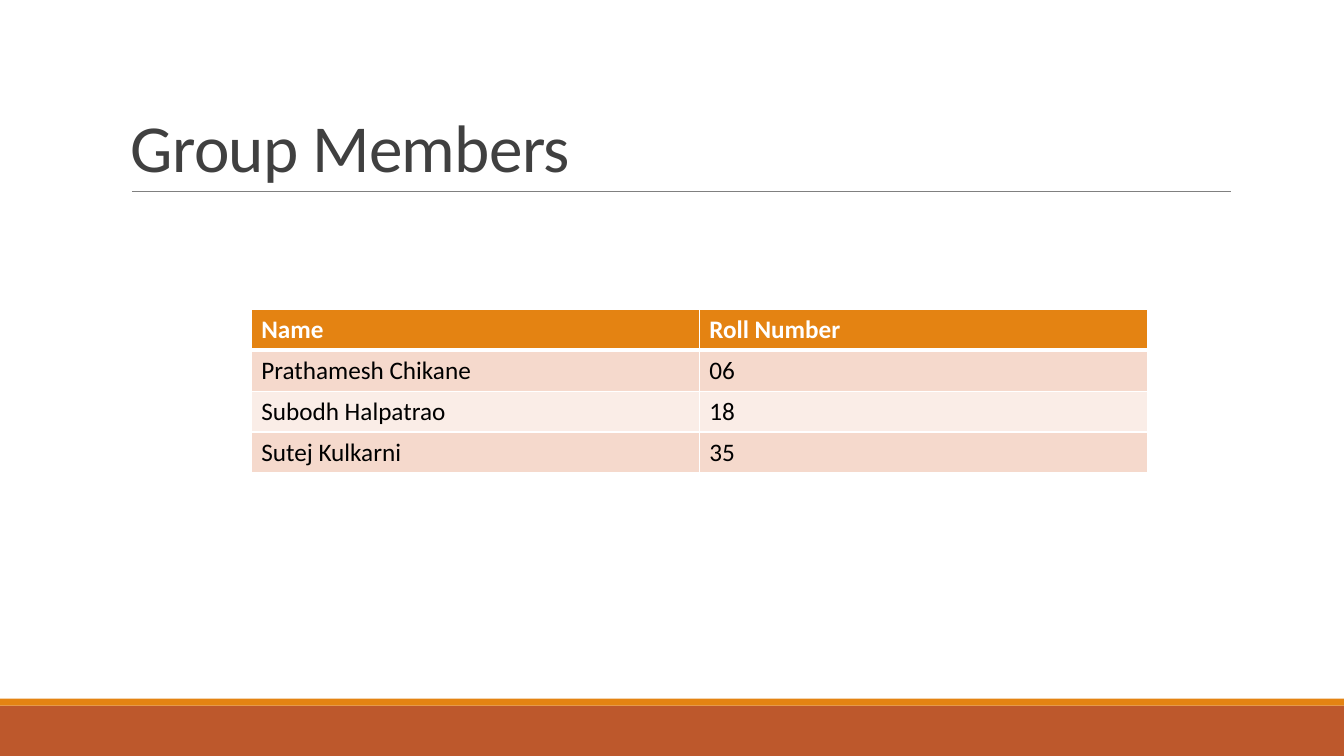
from dataclasses import dataclass

from lxml.etree import SubElement
from pptx import Presentation
from pptx.dml.color import RGBColor
from pptx.enum.shapes import MSO_CONNECTOR, MSO_SHAPE
from pptx.enum.text import MSO_ANCHOR
from pptx.oxml import parse_xml
from pptx.oxml.ns import nsdecls, qn
from pptx.slide import Slide
from pptx.table import _Cell
from pptx.text.text import _Run
from pptx.util import Pt

COLOURS = {
    "rust": "BD582C",
    "orange": "E48312",
    "rule": "808080",
    "title": "404040",
    "white": "FFFFFF",
    "black": "000000",
    "dark band": "F5D9CC",
    "light band": "FAEDE7",
}
SLIDE_WIDTH, SLIDE_HEIGHT = 960, 540
MEMBERS = [
    ("Name", "Roll Number"),
    ("Prathamesh Chikane", "06"),
    ("Subodh Halpatrao", "18"),
    ("Sutej Kulkarni", "35"),
]
TABLE_LEFT, TABLE_TOP = 179.5, 221
COLUMN_WIDTH, ROW_HEIGHT = 320, 29.2


@dataclass
class Bar:
    top: float
    height: float
    colour: str


@dataclass
class RowStyle:
    fill: str
    text: str
    bold: bool
    line_above: float
    line_below: float


FOOTER_BARS = [Bar(504, 36, "rust"), Bar(499, 5, "orange")]
HEADER = RowStyle("orange", "white", True, 1, 3)
FIRST_ROW = RowStyle("dark band", "black", False, 3, 1)
LIGHT_ROW = RowStyle("light band", "black", False, 1, 1)
DARK_ROW = RowStyle("dark band", "black", False, 1, 1)
ROW_STYLES = [HEADER, FIRST_ROW, LIGHT_ROW, DARK_ROW]


def rgb(name: str) -> RGBColor:
    return RGBColor.from_string(COLOURS[name])


def format_span(span: _Run, colour: str, size: float, bold: bool = False) -> None:
    for name, value in {"name": "Calibri", "size": Pt(size), "bold": bold}.items():
        setattr(span.font, name, value)
    span.font.color.rgb = rgb(colour)


def add_bar(page: Slide, bar: Bar) -> None:
    shape = page.shapes.add_shape(
        MSO_SHAPE.RECTANGLE, 0, Pt(bar.top), Pt(SLIDE_WIDTH), Pt(bar.height)
    )
    shape.shadow.inherit = False
    shape.fill.solid()
    shape.fill.fore_color.rgb = rgb(bar.colour)
    shape.line.fill.background()


def add_rule(page: Slide) -> None:
    rule = page.shapes.add_connector(
        MSO_CONNECTOR.STRAIGHT, Pt(94.3), Pt(136.8), Pt(879), Pt(136.8)
    )
    rule.line.color.rgb = rgb("rule")
    rule.line.width = Pt(0.5)
    SubElement(rule._element.spPr, qn("a:effectLst"))


def add_title(page: Slide) -> None:
    box = page.shapes.add_textbox(Pt(86.4), Pt(22.3), Pt(792), Pt(114.5))
    box.text_frame.word_wrap = True
    box.text_frame.vertical_anchor = MSO_ANCHOR.BOTTOM
    para = box.text_frame.paragraphs[0]
    para.line_spacing = 0.85
    span = para.add_run()
    span.text = "Group Members"
    format_span(span, "title", 48)
    span.font._element.set("spc", "-50")


def set_borders(cell: _Cell, style: RowStyle) -> None:
    widths = {"lnL": 1, "lnR": 1, "lnT": style.line_above, "lnB": style.line_below}
    properties = cell._tc.get_or_add_tcPr()
    for position, (tag, width) in enumerate(widths.items()):
        border = parse_xml(
            f'<a:{tag} {nsdecls("a")} w="{Pt(width)}"><a:solidFill>'
            f'<a:srgbClr val="{COLOURS["white"]}"/></a:solidFill></a:{tag}>'
        )
        properties.insert(position, border)


def fill_cell(cell: _Cell, text: str, style: RowStyle) -> None:
    cell.fill.solid()
    cell.fill.fore_color.rgb = rgb(style.fill)
    set_borders(cell, style)
    span = cell.text_frame.paragraphs[0].add_run()
    span.text = text
    format_span(span, style.text, 18, style.bold)


def add_member_table(page: Slide) -> None:
    row_count, column_count = len(MEMBERS), len(MEMBERS[0])
    table = page.shapes.add_table(
        row_count, column_count, Pt(TABLE_LEFT), Pt(TABLE_TOP),
        Pt(column_count * COLUMN_WIDTH), Pt(row_count * ROW_HEIGHT),
    ).table
    table.horz_banding = False
    for column in table.columns:
        column.width = Pt(COLUMN_WIDTH)
    for row, texts, style in zip(table.rows, MEMBERS, ROW_STYLES):
        row.height = Pt(ROW_HEIGHT)
        for cell, text in zip(row.cells, texts):
            fill_cell(cell, text, style)


def main() -> None:
    deck = Presentation()
    deck.slide_width, deck.slide_height = Pt(SLIDE_WIDTH), Pt(SLIDE_HEIGHT)
    page = deck.slides.add_slide(deck.slide_layouts[6])
    for bar in FOOTER_BARS:
        add_bar(page, bar)
    add_rule(page)
    add_title(page)
    add_member_table(page)
    deck.save("out.pptx")


if __name__ == "__main__":
    main()
